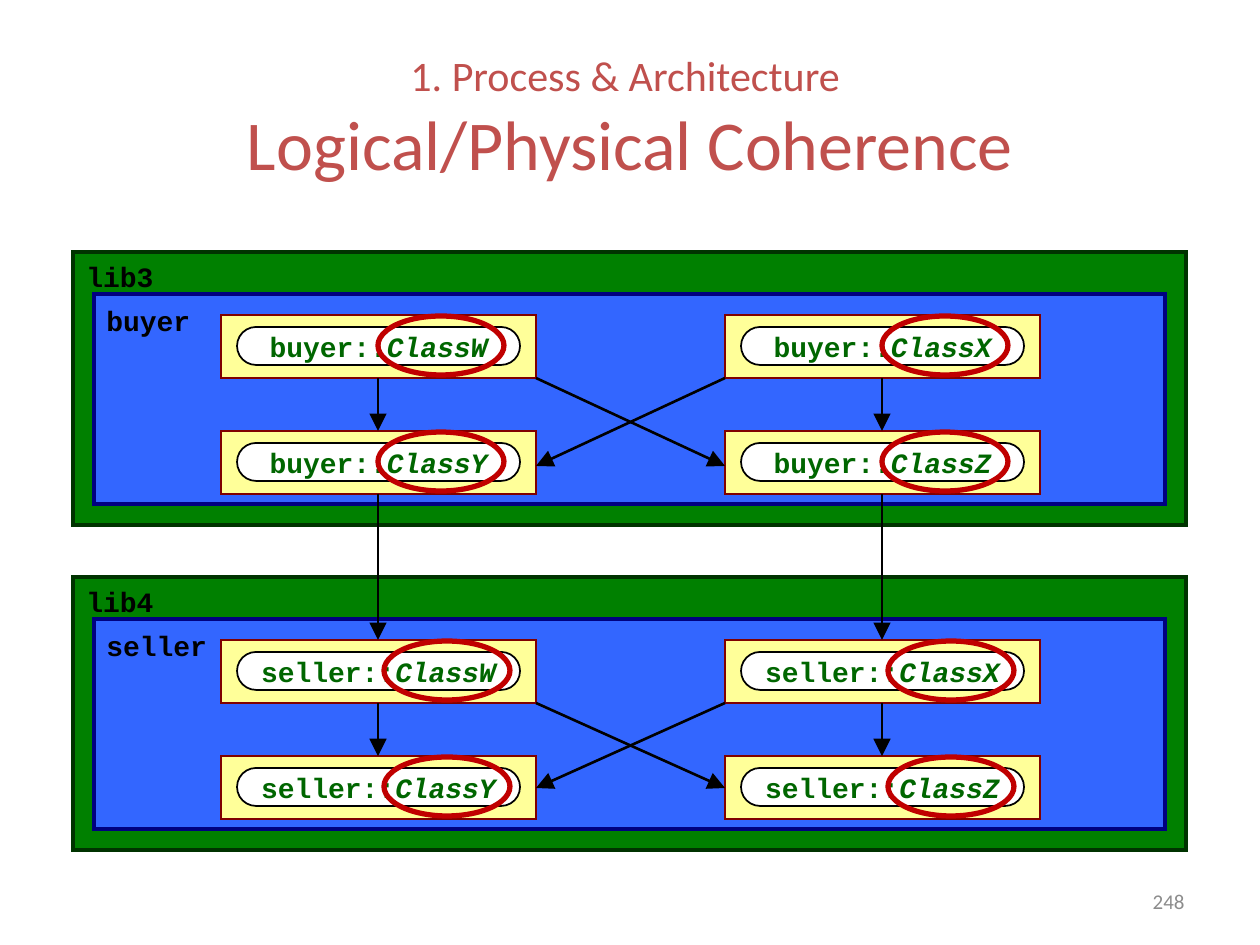
from lxml.etree import SubElement
from pptx import Presentation
from pptx.dml.color import RGBColor
from pptx.enum.shapes import MSO_CONNECTOR, MSO_SHAPE
from pptx.enum.text import MSO_ANCHOR, PP_ALIGN
from pptx.oxml.ns import qn
from pptx.util import Emu, Pt

EMU_PER_PX = 914400 / 126
COLORS = {
    "title": "C0504D", "number": "8C8C8C", "black": "000000", "white": "FFFFFF",
    "library": "008000", "library_edge": "003300",
    "package": "3366FF", "package_edge": "000080",
    "component": "FFFF99", "component_edge": "800000",
    "class_name": "006600", "highlight": "C00000",
}
LIBRARY_LEFT, LIBRARY_WIDTH, LIBRARY_HEIGHT = 73, 1113, 273
COMPONENT_WIDTH, COMPONENT_HEIGHT = 315, 63
COLUMNS = (148, 652)
ROWS = (63, 179)


def px(length):
    """Turn a length in px into EMU."""
    return Emu(round(length * EMU_PER_PX))


def color(name):
    """Look up a named colour."""
    return RGBColor.from_string(COLORS[name])


def add_box(page, kind, box, fill, edge, width):
    """Add a preset shape with sharp corners, unfilled when fill is None."""
    shape = page.shapes.add_shape(kind, *map(px, box))
    shape.shadow.inherit = False
    if fill:
        shape.fill.solid()
        shape.fill.fore_color.rgb = color(fill)
    else:
        shape.fill.background()
    shape.line.color.rgb = color(edge)
    shape.line.width = Pt(width)
    SubElement(shape.line._get_or_add_ln(), qn("a:miter"), lim="800000")
    return shape


def style(para, font, size, tint, bold=False, align=PP_ALIGN.LEFT):
    """Set the font and alignment shared by all runs of a paragraph."""
    para.alignment = align
    para.font.name = font
    para.font.size = Pt(size)
    para.font.bold = bold
    para.font.color.rgb = color(tint)


def add_text(page, box, text, wrap=False):
    """Add a text box and return its frame and first paragraph."""
    frame = page.shapes.add_textbox(*map(px, box)).text_frame
    frame.word_wrap = wrap
    para = frame.paragraphs[0]
    para.add_run().text = text
    return frame, para


def add_label(page, left, top, text):
    """Add the name of a library or package in a box as wide as the name."""
    _, para = add_text(page, (left, top, 30 + 18 * len(text), 46), text)
    style(para, "Courier New", 16, "black", bold=True)


def add_arrow(page, start, end):
    """Add a dependency arrow between two points."""
    arrow = page.shapes.add_connector(
        MSO_CONNECTOR.STRAIGHT, *map(px, (*start, *end)))
    arrow.line.color.rgb = color("black")
    arrow.line.width = Pt(1.5)
    SubElement(arrow.line._get_or_add_ln(), qn("a:tailEnd"),
               type="triangle", w="lg", len="lg")
    SubElement(arrow._element.spPr, qn("a:effectLst"))


def add_component(page, left, top, package, class_name, ring_offset):
    """Draw a component, its qualified class and the ring round the class."""
    add_box(page, MSO_SHAPE.RECTANGLE,
            (left, top, COMPONENT_WIDTH, COMPONENT_HEIGHT),
            "component", "component_edge", 1)
    pill = add_box(page, MSO_SHAPE.ROUNDED_RECTANGLE,
                   (left + 16, top + 12, 283, 38), "white", "black", 1)
    pill.adjustments[0] = 0.5
    frame = pill.text_frame
    frame.word_wrap = False
    frame.vertical_anchor = MSO_ANCHOR.MIDDLE
    para = frame.paragraphs[0]
    style(para, "Courier New", 16, "class_name", True, PP_ALIGN.CENTER)
    para.add_run().text = f"{package}::"
    span = para.add_run()
    span.text = class_name
    span.font.italic = True
    add_box(page, MSO_SHAPE.OVAL, (left + ring_offset, top + 1, 126, 59),
            None, "highlight", 3)


def add_library(page, top, library, package, ring_offset, entry):
    """Draw a library with its package, four components and their arrows."""
    left = LIBRARY_LEFT
    add_box(page, MSO_SHAPE.RECTANGLE,
            (left, top, LIBRARY_WIDTH, LIBRARY_HEIGHT),
            "library", "library_edge", 2)
    add_label(page, left + 1, top + 1, library)
    add_box(page, MSO_SHAPE.RECTANGLE, (left + 21, top + 42, 1071, 210),
            "package", "package_edge", 2)
    add_label(page, left + 21, top + 45, package)

    names = iter(("ClassW", "ClassX", "ClassY", "ClassZ"))
    for row in ROWS:
        for column in COLUMNS:
            add_component(page, left + column, top + row, package,
                          next(names), ring_offset)

    upper_bottom = top + ROWS[0] + COMPONENT_HEIGHT
    lower_top = top + ROWS[1]
    for column in COLUMNS:
        center = left + column + COMPONENT_WIDTH // 2
        add_arrow(page, (center, upper_bottom), (center, lower_top))
    inner = (left + COLUMNS[0] + COMPONENT_WIDTH, left + COLUMNS[1])
    for start, end in (inner, inner[::-1]):
        add_arrow(page, (start, upper_bottom), (end, lower_top + entry))


def add_library_links(page, upper_top, lower_top):
    """Link the lower components of one library to the next library."""
    for column in COLUMNS:
        center = LIBRARY_LEFT + column + COMPONENT_WIDTH // 2
        add_arrow(page, (center, upper_top + ROWS[1] + COMPONENT_HEIGHT),
                  (center, lower_top + ROWS[0]))


def add_title(page, box):
    """Add the section line and the title below it."""
    frame, para = add_text(page, box, "1. Process & Architecture ")
    frame.vertical_anchor = MSO_ANCHOR.MIDDLE
    style(para, "Calibri", 40, "title", align=PP_ALIGN.CENTER)
    para.runs[0].font.size = Pt(24)
    para.add_line_break()
    para.add_run().text = "Logical/Physical Coherence"


def add_page_number(page, box):
    """Add the page number."""
    frame, para = add_text(page, box, "248", wrap=True)
    frame.vertical_anchor = MSO_ANCHOR.MIDDLE
    style(para, "Calibri", 12, "number", align=PP_ALIGN.RIGHT)


def main():
    """Build the slide and save the deck."""
    deck = Presentation()
    deck.slide_width, deck.slide_height = px(1260), px(945)
    page = deck.slides.add_slide(deck.slide_layouts[6])
    add_title(page, (63, 38, 1134, 158))
    add_library(page, 252, "lib3", "buyer", 157, 35)
    add_library(page, 577, "lib4", "seller", 163, 32)
    add_library_links(page, 252, 577)
    add_page_number(page, (903, 876, 294, 50))
    deck.save("out.pptx")


if __name__ == "__main__":
    main()
